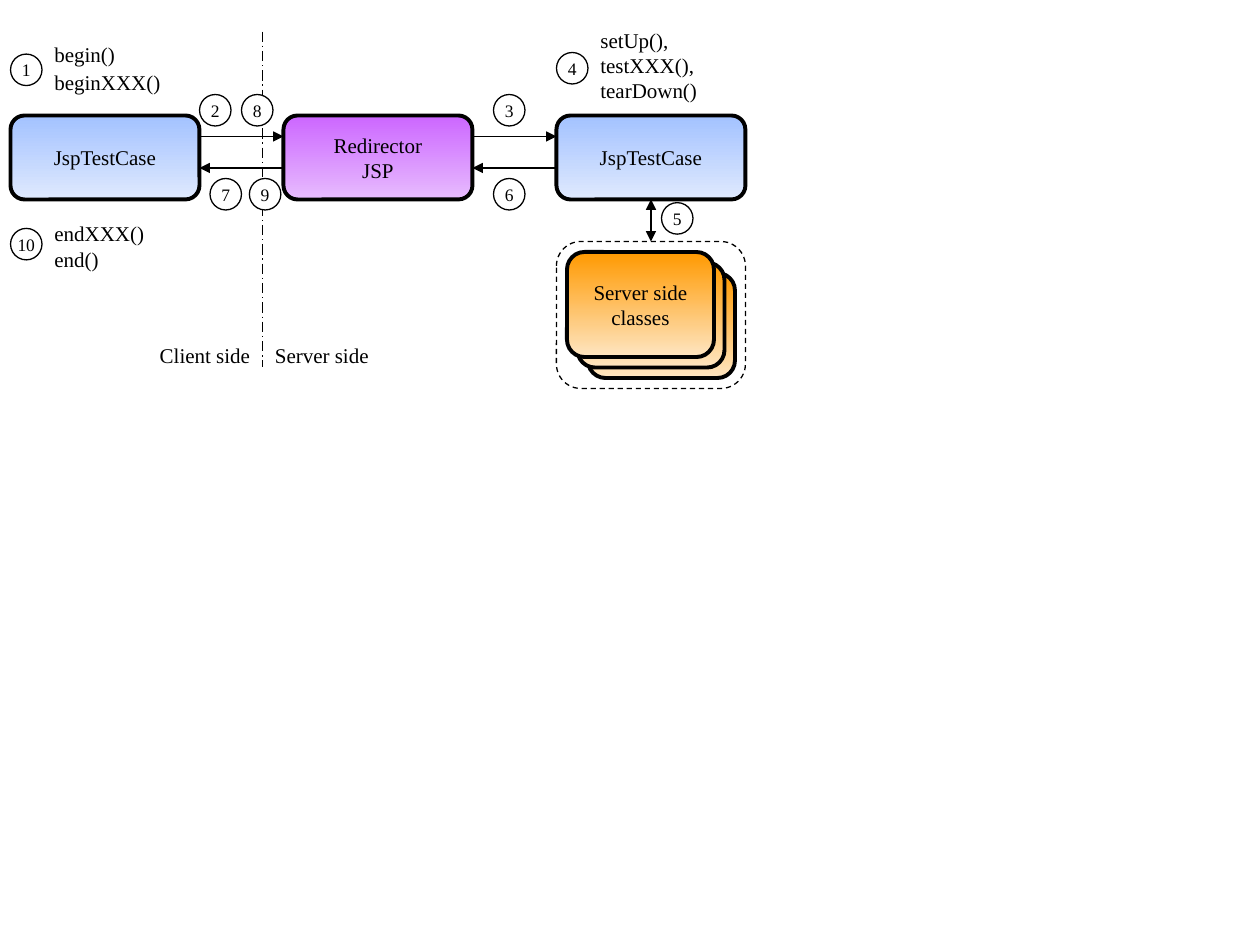
"""Build the JSP test case flow slide on a grid of twelfths of an inch."""
from lxml import etree
from pptx import Presentation
from pptx import util as u
from pptx.dml.color import RGBColor
from pptx.enum import dml, shapes, text
from pptx.oxml.ns import qn

COLORS = {"ink": "000000", "paper": "FFFFFF",
          "blue": ("A3C2FF", "DFE9FE"),
          "purple": ("CC66FF", "E7BBFE"),
          "orange": ("FF9900", "FEE5C1")}
FONT = "Times New Roman"
STAGES = [("JspTestCase", "blue"), ("Redirector\nJSP", "purple"), ("JspTestCase", "blue")]
STAGE_LEFT, STAGE_TOP, STAGE_WIDTH, STAGE_HEIGHT, STAGE_STEP = 1, 11, 18, 8, 26
CALL_Y, RETURN_Y = 13, 16
CLASSES = ["", "", "Server side\nclasses"]
STEPS = [("1", 1, 5.15), ("2", 19, 9), ("3", 47, 9), ("4", 53, 5), ("5", 63, 19.3),
         ("6", 47, 17), ("7", 20, 17), ("8", 23, 9), ("9", 23.75, 17), ("10", 1, 21.75)]
ON_DIVIDER = ("8", "9")
LEFT, RIGHT = text.PP_ALIGN.LEFT, text.PP_ALIGN.RIGHT
LABELS = [("begin()", 4, 3.35, 14, 3.6, LEFT),
          ("beginXXX()", 4, 6, 14, 3.6, LEFT),
          ("setUp(),\vtestXXX(),\vtearDown()", 56, 2, 14, 8.4, LEFT),
          ("endXXX()", 4, 20.4, 15, 3.6, LEFT),
          ("end()", 4, 22.9, 14, 3.6, LEFT),
          ("Client side", 10, 32, 15, 3.6, RIGHT),
          ("Server side", 25, 32, 15, 3.6, LEFT)]


def grid(*counts):
    return [u.Cm(count * 2.54 / 12) for count in counts]


def color(value):
    return RGBColor.from_string(value)


def write(frame, words, size, align):
    frame.text = words
    for paragraph in frame.paragraphs:
        paragraph.alignment = align
        paragraph.font.name, paragraph.font.size = FONT, u.Pt(size)
        paragraph.font.color.rgb = color(COLORS["ink"])


def outline(line, width, dash=None):
    line.color.rgb = color(COLORS["ink"])
    line.width = u.Pt(width)
    if dash:
        line.dash_style = dash


def add_outline(slide, kind, place, width, words="", size=12, dash=None):
    shape = slide.shapes.add_shape(kind, *grid(*place))
    shape.shadow.inherit = False
    shape.fill.background()
    outline(shape.line, width, dash)
    if words:
        shape.text_frame.word_wrap = False
        shape.text_frame.vertical_anchor = text.MSO_ANCHOR.MIDDLE
        write(shape.text_frame, words, size, text.PP_ALIGN.CENTER)
    return shape


def add_box(slide, place, words, shade):
    box = add_outline(slide, shapes.MSO_SHAPE.ROUNDED_RECTANGLE, place, 2.25, words)
    box.fill.gradient()
    box.fill.gradient_angle = 270
    for stop, value, position in zip(box.fill.gradient_stops, COLORS[shade], (0, 1)):
        stop.color.rgb, stop.position = color(value), position
    return box


def add_line(slide, start, end, heads=("tailEnd",), dash=None):
    line = slide.shapes.add_connector(shapes.MSO_CONNECTOR.STRAIGHT, *grid(*start, *end))
    outline(line.line, 0.75, dash)
    for head in heads:
        etree.SubElement(line.line._get_or_add_ln(), qn(f"a:{head}"), type="triangle")
    etree.SubElement(line._element.spPr, qn("a:effectLst"))
    return line


def main():
    deck = Presentation()
    deck.slide_width, deck.slide_height = u.Cm(25.4), u.Cm(19.05)
    slide = deck.slides.add_slide(deck.slide_layouts[6])

    lefts = [STAGE_LEFT + i * STAGE_STEP for i in range(len(STAGES))]
    stages = [add_box(slide, (left, STAGE_TOP, STAGE_WIDTH, STAGE_HEIGHT), *stage)
              for left, stage in zip(lefts, STAGES)]
    for left, following in zip(lefts, lefts[1:]):
        right = left + STAGE_WIDTH
        add_line(slide, (right, CALL_Y), (following, CALL_Y))
        add_line(slide, (following, RETURN_Y), (right, RETURN_Y))
    add_line(slide, (25, 3), (25, 35), (), dml.MSO_LINE.LONG_DASH_DOT)

    server = add_outline(slide, shapes.MSO_SHAPE.ROUNDED_RECTANGLE,
                         (lefts[-1], 23, STAGE_WIDTH, 14), 0.75, dash=dml.MSO_LINE.DASH)
    for i, words in enumerate(CLASSES):
        add_box(slide, (56 - i, 26 - i, 14, 10), words, "orange")
    exchange = add_line(slide, (62, 19), (62, 23), ("headEnd", "tailEnd"))
    exchange.begin_connect(stages[-1], 2)
    exchange.end_connect(server, 0)

    for number, left, top in STEPS:
        step = add_outline(slide, shapes.MSO_SHAPE.OVAL, (left, top, 3, 3), 0.75, number, 10)
        if number in ON_DIVIDER:
            step.fill.solid()
            step.fill.fore_color.rgb = color(COLORS["paper"])

    for words, left, top, width, height, align in LABELS:
        frame = slide.shapes.add_textbox(*grid(left, top, width, height)).text_frame
        frame.word_wrap = True
        frame.auto_size = text.MSO_AUTO_SIZE.SHAPE_TO_FIT_TEXT
        write(frame, words, 12, align)

    deck.save("out.pptx")


if __name__ == "__main__":
    main()
